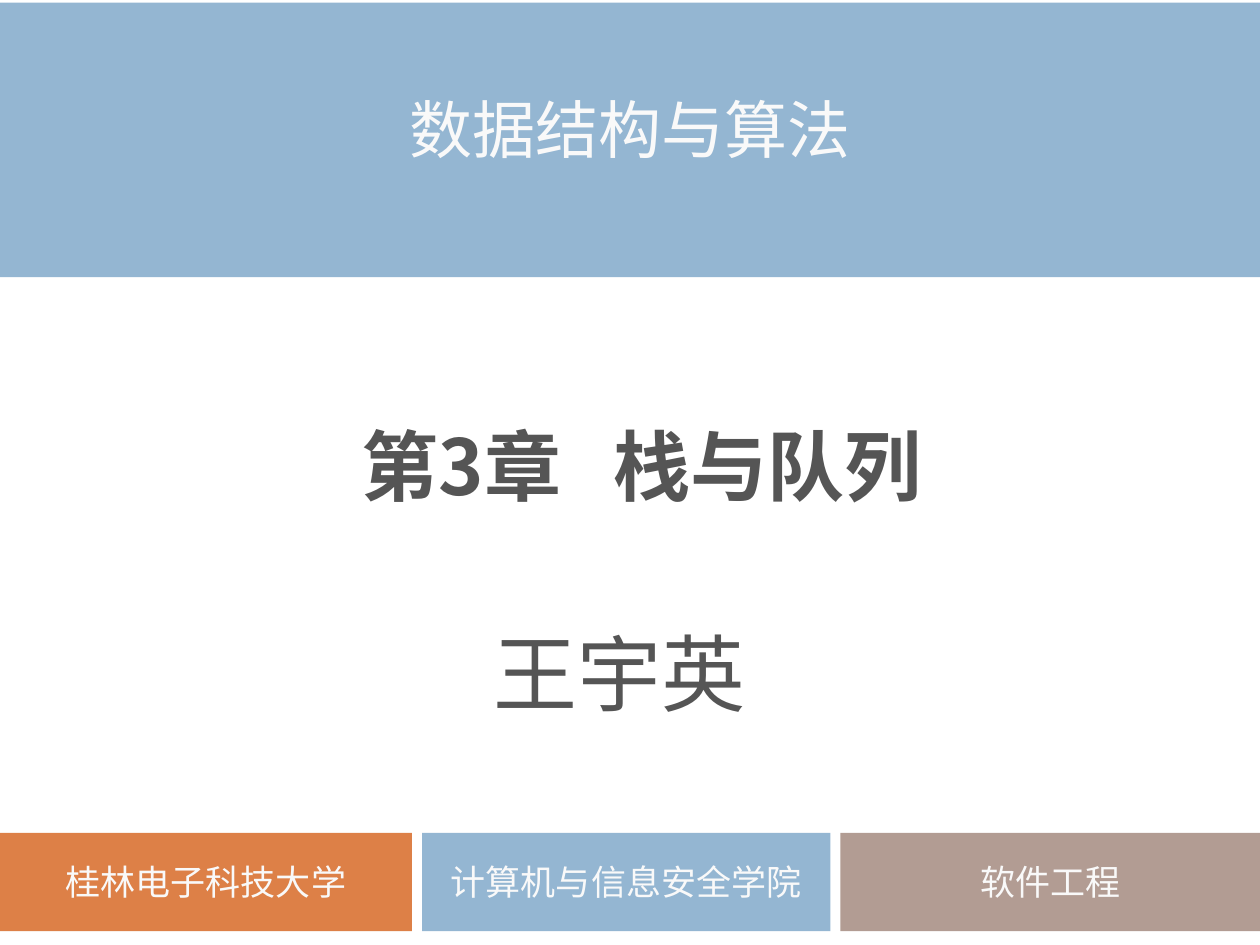
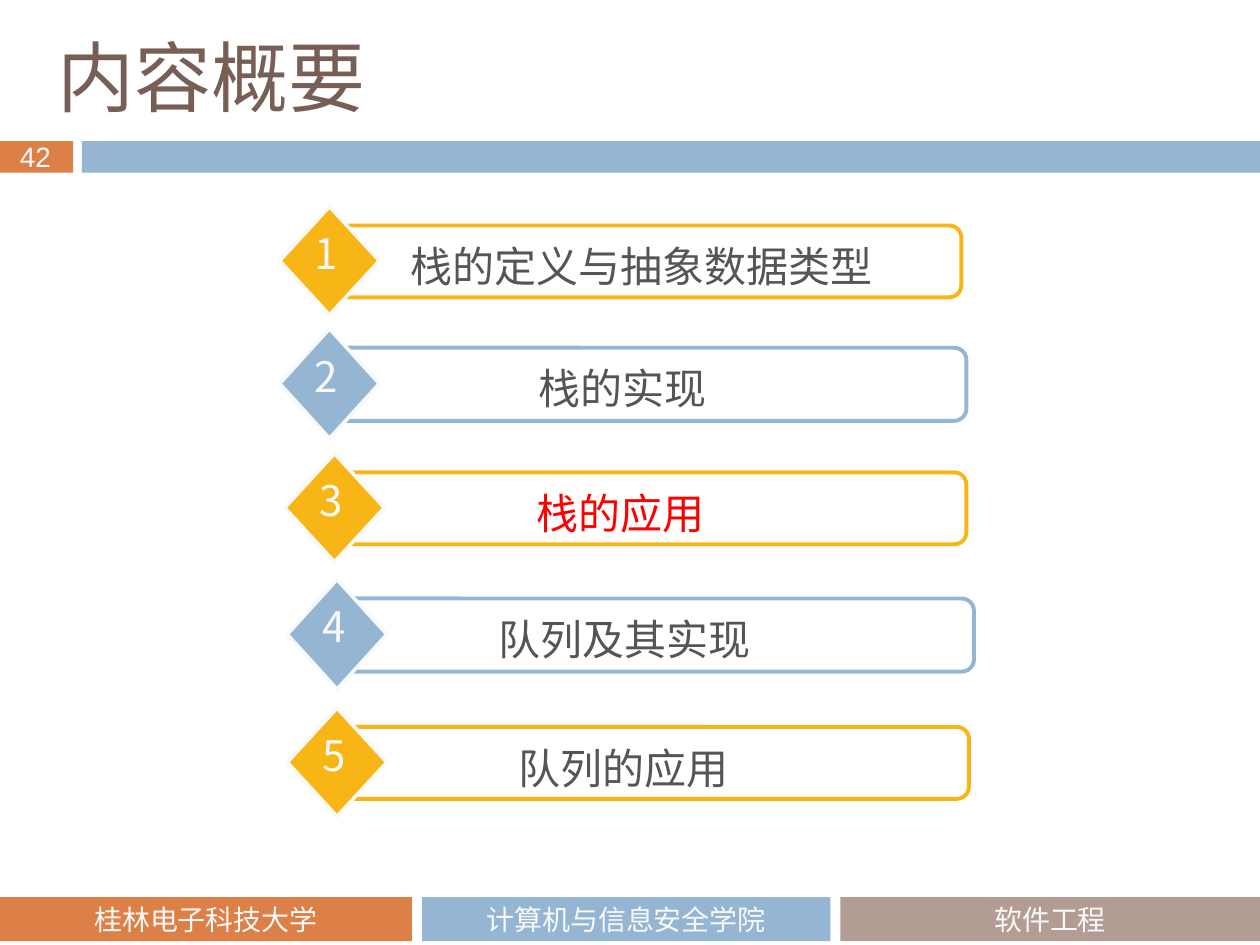
from lxml import etree
from pptx import Presentation
from pptx import util as u
from pptx.dml.color import RGBColor
from pptx.enum import shapes, text
from pptx.oxml.ns import qn

COLORS = {
    "orange": "DD8047", "blue": "94B6D2", "mauve": "B29C93", "gold": "F7B615",
    "brown": "775F55", "gray": "555555", "light": "F9F9F9", "white": "FFFFFF",
    "red": "FF0000",
}
LATIN, SERIF, DIGITS = "Calibri", "Times New Roman", "Arial"
HAN, HAN_ALT = "Noto Sans CJK SC", "Noto Sans CJK JP"

COURSE = "数据结构与算法"
CHAPTER = ("第3章", " ", "栈与队列")
CHAPTER_GAP = 2000
TEACHER = "王宇英"
FOOTER = [
    ("桂林电子科技大学", 0, 3.27, "orange"),
    ("计算机与信息安全学院", 3.35, 3.24, "blue"),
    ("软件工程", 6.67, 3.33, "mauve"),
]
OUTLINE_TITLE = "内容概要"
PAGE_NUMBER = "42"
TOPICS = [
    ("栈的定义与抽象数据类型", 2.66, 1.79, 2.96, 4.26, "gray"),
    ("栈的实现", 2.66, 2.76, 3.2, 3.48, "gray"),
    ("栈的应用", 2.7, 3.75, 2.96, 3.93, "red"),
    ("队列及其实现", 2.72, 4.75, 2.98, 3.95, "gray"),
    ("队列的应用", 2.72, 5.77, 2.98, 3.93, "gray"),
]
TOPIC_STYLES = [("gold", 4.97, 0.57), ("blue", 5.01, 0.58)]


def rgb(name):
    return RGBColor.from_string(COLORS[name])


def inches(*lengths):
    return [u.Inches(length) for length in lengths]


def style(box, size, color, font=HAN, bold=False, align="CENTER", anchor="MIDDLE", wrap=True):
    frame = box.text_frame
    frame.word_wrap = wrap
    frame.vertical_anchor = getattr(text.MSO_ANCHOR, anchor)
    han_font = font if font in (HAN, HAN_ALT) else HAN
    for para in frame.paragraphs:
        para.alignment = getattr(text.PP_ALIGN, align)
        for span in para.runs:
            span.font.size = u.Pt(size)
            span.font.name = font
            span.font.bold = bold
            span.font.color.rgb = rgb(color)
            etree.SubElement(span.font._element, qn("a:ea"), typeface=han_font)


def add_text(parent, at, wording, size, color, **options):
    box = parent.add_textbox(*inches(*at))
    box.text_frame.text = wording
    style(box, size, color, **options)
    return box


def add_block(parent, at, fill=None, line=None, width=0, kind="RECTANGLE"):
    block = parent.add_shape(getattr(shapes.MSO_SHAPE, kind), *inches(*at))
    block.shadow.inherit = False
    if fill:
        block.fill.solid()
        block.fill.fore_color.rgb = rgb(fill)
    else:
        block.fill.background()
    if line:
        block.line.color.rgb = rgb(line)
        block.line.width = u.Pt(width)
    else:
        block.line.fill.background()
    return block


def add_footer(page, top, height, size):
    for wording, left, width, color in FOOTER:
        block = add_block(page.shapes, (left, top, width, height), color)
        block.text_frame.text = wording
        style(block, size, "light", font=LATIN)


def add_cover(page):
    band = add_block(page.shapes, (0, 0.02, 10, 2.18), "blue")
    band.text_frame.text = COURSE
    band.text_frame.paragraphs[0].line_spacing = u.Pt(30)
    style(band, 36, "light", font=SERIF)

    chapter = page.shapes.add_textbox(*inches(0.71, 3, 8.77, 1.38))
    frame = chapter.text_frame
    frame.margin_left = frame.margin_right = frame.margin_top = frame.margin_bottom = 0
    for part in CHAPTER:
        frame.paragraphs[0].add_run().text = part
    style(chapter, 44, "gray", bold=True)
    gap = frame.paragraphs[0].runs[1]
    gap.font._element.set("spc", str(CHAPTER_GAP))

    add_text(page.shapes, (2.94, 4.88, 3.96, 0.91), TEACHER, 48, "gray",
             font=HAN_ALT, anchor="TOP")
    add_footer(page, 6.61, 0.78, 20)


def add_topic(page, number, topic):
    wording, left, top, label_left, label_width, label_color = topic
    color, width, height = TOPIC_STYLES[(number - 1) % len(TOPIC_STYLES)]
    group = page.shapes.add_group_shape().shapes
    frame = add_block(group, (left, top, width, height), line=color, width=2.25,
                      kind="ROUNDED_RECTANGLE")
    frame.adjustments[0] = 0.167
    add_block(group, (left - 0.44, top - 0.15, 0.79, height + 0.29), color,
              line="light", width=2, kind="DIAMOND")
    add_text(group, (label_left, top + 0.07, label_width, 0.5), wording, 24,
             label_color, anchor="TOP")
    add_text(group, (left - 0.26, top - 0.03, 0.37, 0.5), str(number), 24,
             "light", anchor="TOP", wrap=False)


def add_outline(page):
    add_block(page.shapes, (0, 1.12, 0.58, 0.25), "orange")
    add_block(page.shapes, (0.65, 1.12, 9.35, 0.25), "blue")
    add_text(page.shapes, (0.06, 1.06, 0.48, 0.37), PAGE_NUMBER, 16, "light",
             font=DIGITS, align="LEFT", anchor="TOP", wrap=False)
    add_text(page.shapes, (0.36, 0.27, 5.67, 0.66), OUTLINE_TITLE, 44, "brown",
             font=HAN_ALT, align="LEFT")
    for number, topic in enumerate(TOPICS, 1):
        add_topic(page, number, topic)
    add_footer(page, 7.12, 0.35, 16)


def main():
    deck = Presentation()
    deck.slide_width, deck.slide_height = inches(10, 7.5)
    for build in (add_cover, add_outline):
        build(deck.slides.add_slide(deck.slide_layouts[6]))
    deck.save("out.pptx")


if __name__ == "__main__":
    main()
